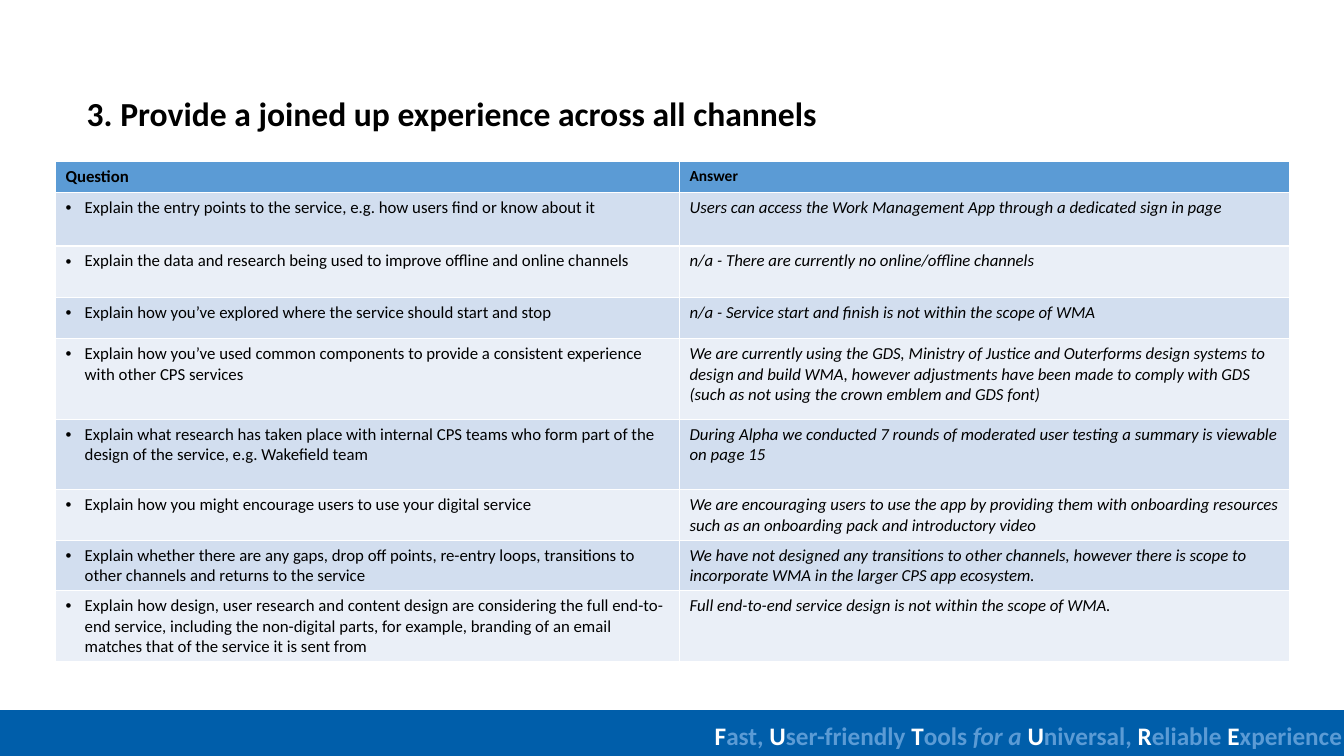
from lxml import etree
from pptx import Presentation
from pptx.dml.color import RGBColor
from pptx.enum.shapes import MSO_SHAPE
from pptx.enum.text import MSO_ANCHOR, MSO_AUTO_SIZE, PP_ALIGN
from pptx.oxml.ns import qn
from pptx.util import Inches, Pt

RECTANGLE = MSO_SHAPE.RECTANGLE
BOTTOM = MSO_ANCHOR.BOTTOM
LEFT = PP_ALIGN.LEFT
NO_AUTOFIT = MSO_AUTO_SIZE.NONE

WIDTH, HEIGHT = 13.33, 7.5
FONT = "Calibri"
BLACK, WHITE = "000000", "FFFFFF"
BAND_BLUE, HEADER_BLUE = "005EAA", "5B9BD5"
ROW_FILLS = ("D2DEEF", "EAEFF7")

TITLE = "3. Provide a joined up experience across all channels"
HEADINGS = (("Question", 12), ("Answer", 11))
QUESTIONS_AND_ANSWERS = [
    ("Explain the entry points to the service, e.g. how users find or know about it",
     "Users can access the Work Management App through a dedicated sign in page"),
    ("Explain the data and research being used to improve offline and online channels",
     "n/a - There are currently no online/offline channels"),
    ("Explain how you’ve explored where the service should start and stop",
     "n/a - Service start and finish is not within the scope of WMA"),
    ("Explain how you’ve used common components to provide a consistent experience "
     "with other CPS services",
     "We are currently using the GDS, Ministry of Justice and Outerforms design systems to "
     "design and build WMA, however adjustments have been made to comply with GDS "
     "(such as not using the crown emblem and GDS font)"),
    ("Explain what research has taken place with internal CPS teams who form part of the "
     "design of the service, e.g. Wakefield team",
     "During Alpha we conducted 7 rounds of moderated user testing a summary is viewable "
     "on page 15"),
    ("Explain how you might encourage users to use your digital service",
     "We are encouraging users to use the app by providing them with onboarding "
     "resources such as an onboarding pack and introductory video"),
    ("Explain whether there are any gaps, drop off points, re-entry loops, transitions to "
     "other channels and returns to the service",
     "We have not designed any transitions to other channels, however there is scope to "
     "incorporate WMA in the larger CPS app ecosystem."),
    ("Explain how design, user research and content design are considering the full "
     "end-to-end service, including the non-digital parts, for example, branding of an email "
     "matches that of the service it is sent from",
     "Full end-to-end service design is not within the scope of WMA."),
]
COLUMN_WIDTHS = (6.19, 6.05)
ROW_HEIGHTS = (0.31, 0.53, 0.51, 0.41, 0.8, 0.7, 0.5, 0.5, 0.7)
BULLET_INDENT = 0.19

# Single capitals are picked out in white
STRAPLINE = ("F", "ast, ", "U", "ser-friendly ", "T", "ools ", "for a ", "U",
             "niversal, ", "R", "eliable ", "E", "xperience")
ITALIC_PART = "for a "


def color(hex_value):
    return RGBColor.from_string(hex_value)


def add_text(paragraph, text, size=12, fill=BLACK, bold=False, italic=False):
    run = paragraph.add_run()
    run.text = text
    font = run.font
    font.name, font.size = FONT, Pt(size)
    font.bold, font.italic = bold, italic
    font.color.rgb = color(fill)


def add_bullet(paragraph):
    properties = paragraph._p.get_or_add_pPr()
    properties.set("marL", str(Inches(BULLET_INDENT)))
    properties.set("indent", str(-Inches(BULLET_INDENT)))
    etree.SubElement(properties, qn("a:buFont")).set("typeface", "Arial")
    etree.SubElement(properties, qn("a:buChar")).set("char", "•")


def fill_cell(cell, fill):
    cell.fill.solid()
    cell.fill.fore_color.rgb = color(fill)
    return cell.text_frame.paragraphs[0]


def add_footer(slide):
    band_height = 0.06 * HEIGHT
    band = slide.shapes.add_shape(RECTANGLE, 0, Inches(HEIGHT - band_height),
                                  Inches(WIDTH), Inches(band_height))
    band.shadow.inherit = False
    band.fill.solid()
    band.fill.fore_color.rgb = band.line.color.rgb = color(BAND_BLUE)
    band.line.width = Pt(1)

    box = slide.shapes.add_textbox(Inches(6.99), Inches(7.1), Inches(6.61), Inches(0.4))
    box.text_frame.word_wrap = True
    paragraph = box.text_frame.paragraphs[0]
    for part in STRAPLINE:
        add_text(paragraph, part, size=18, bold=True, italic=part == ITALIC_PART,
                 fill=WHITE if len(part) == 1 else HEADER_BLUE)


def add_title(slide):
    title = slide.shapes.title
    title.left, title.top = Inches(0.76), Inches(0.78)
    title.width, title.height = Inches(11.62), Inches(0.6)
    frame = title.text_frame
    frame.vertical_anchor = BOTTOM
    frame.auto_size = NO_AUTOFIT
    paragraph = frame.paragraphs[0]
    paragraph.alignment = LEFT
    paragraph.line_spacing = 0.9
    add_text(paragraph, TITLE, size=24, bold=True)


def add_question_table(slide):
    table = slide.shapes.add_table(
        len(ROW_HEIGHTS), len(COLUMN_WIDTHS), Inches(0.55), Inches(1.6),
        Inches(sum(COLUMN_WIDTHS)), Inches(sum(ROW_HEIGHTS))).table
    for column, width in zip(table.columns, COLUMN_WIDTHS):
        column.width = Inches(width)
    for row, height in zip(table.rows, ROW_HEIGHTS):
        row.height = Inches(height)
    for column, (heading, size) in enumerate(HEADINGS):
        add_text(fill_cell(table.cell(0, column), HEADER_BLUE), heading, size=size, bold=True)
    for index, (question, answer) in enumerate(QUESTIONS_AND_ANSWERS):
        fill = ROW_FILLS[index % 2]
        question_paragraph = fill_cell(table.cell(index + 1, 0), fill)
        add_bullet(question_paragraph)
        add_text(question_paragraph, question)
        add_text(fill_cell(table.cell(index + 1, 1), fill), answer, italic=True)


def main():
    presentation = Presentation()
    presentation.slide_width, presentation.slide_height = Inches(WIDTH), Inches(HEIGHT)
    slide = presentation.slides.add_slide(presentation.slide_layouts.get_by_name("Title Only"))
    add_footer(slide)
    add_title(slide)
    add_question_table(slide)
    presentation.save("out.pptx")


if __name__ == "__main__":
    main()
